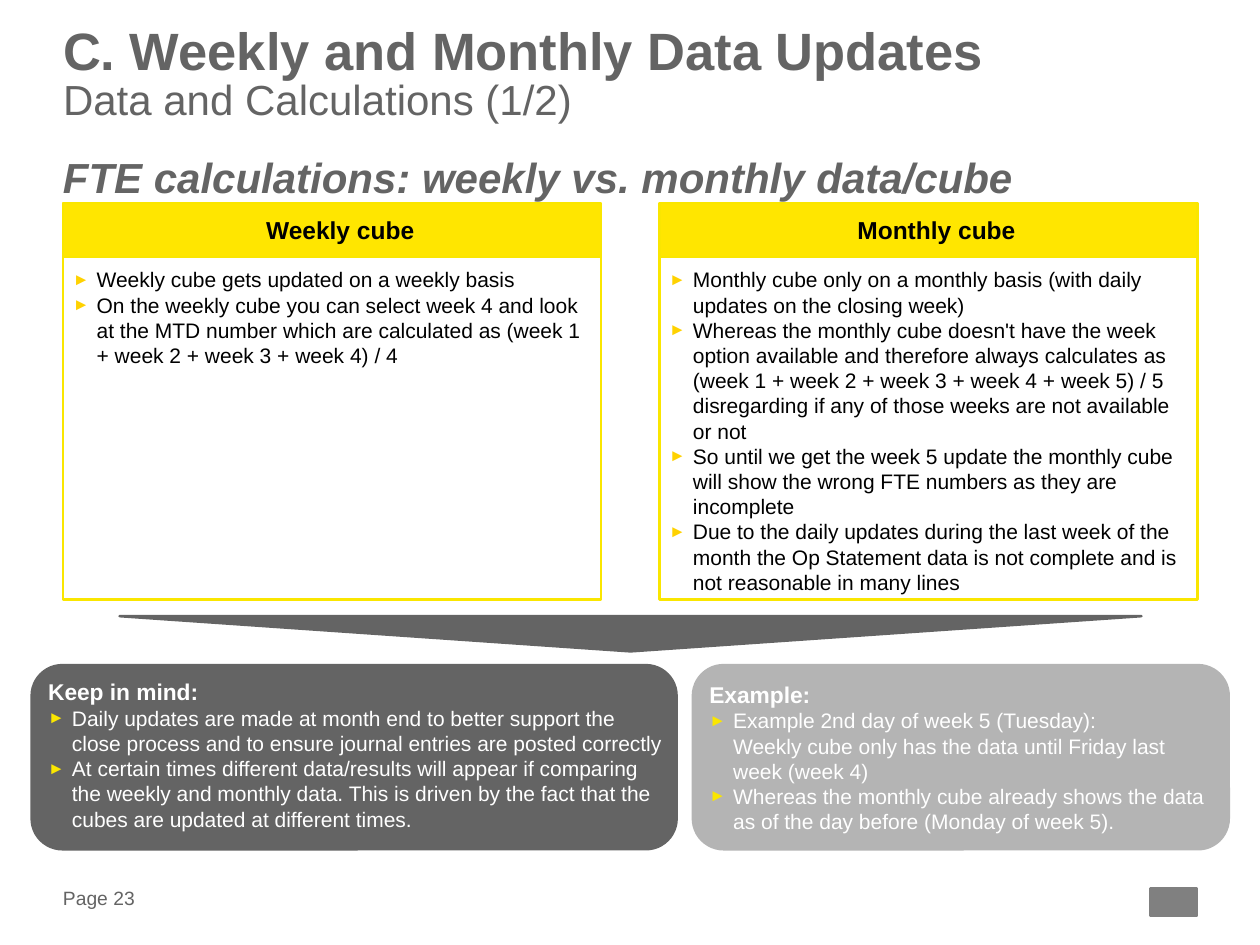
from lxml import etree
from pptx import Presentation
from pptx.dml.color import RGBColor
from pptx.enum.shapes import MSO_SHAPE as Shape
from pptx.enum.text import MSO_ANCHOR as Anchor, MSO_AUTO_SIZE as AutoSize, PP_ALIGN as Align
from pptx.oxml.ns import qn
from pptx.util import Cm, Pt

FONT = "Arial"
GREY = RGBColor(0x64, 0x64, 0x64)
LIGHT_GREY = RGBColor(0xB4, 0xB4, 0xB4)
MARK_GREY = RGBColor(0x80, 0x80, 0x80)
YELLOW = RGBColor(0xFF, 0xE6, 0x00)
BORDER_YELLOW = RGBColor(0xFA, 0xE6, 0x00)
BULLET_YELLOW = RGBColor(0xFF, 0xD2, 0x00)
BLACK = RGBColor(0, 0, 0)
WHITE = RGBColor(0xFF, 0xFF, 0xFF)

LEFT = Cm(1.27)
COLUMN_WIDTH = Cm(10.85)
COLUMN_LEFTS = (LEFT, Cm(13.29))

COLUMNS = (
    ("Weekly cube", (
        "Weekly cube gets updated on a weekly basis",
        "On the weekly cube you can select week 4 and look at the MTD number which are "
        "calculated as (week 1 + week 2 + week 3 + week 4) / 4",
    )),
    ("Monthly cube", (
        "Monthly cube only on a monthly basis (with daily updates on the closing week)",
        "Whereas the monthly cube doesn't have the week option available and therefore always "
        "calculates as (week 1 + week 2 + week 3 + week 4 + week 5) / 5 disregarding if any of "
        "those weeks are not available or not",
        "So until we get the week 5 update the monthly cube will show the wrong FTE numbers "
        "as they are incomplete",
        "Due to the daily updates during the last week of the month the Op Statement data is "
        "not complete and is not reasonable in many lines",
    )),
)
NOTES = (
    (Cm(0.64), Cm(13), GREY, Cm(0.25), "Keep in mind:", (
        "Daily updates are made at month end to better support the close process and to ensure "
        "journal entries are posted correctly",
        "At certain times different data/results will appear if comparing the weekly and monthly "
        "data. This is driven by the fact that the cubes are updated at different times.",
    )),
    (Cm(13.97), Cm(10.8), LIGHT_GREY, Cm(0.15), "Example:", (
        "Example 2nd day of week 5 (Tuesday): \n"
        "Weekly cube only has the data until Friday last week (week 4)",
        "Whereas the monthly cube already shows the data as of the day before (Monday of week 5).",
    )),
)


def add_box(kind, left, top, width, height, fill, line, margins, anchor=Anchor.MIDDLE):
    shape = slide.shapes.add_shape(kind, left, top, width, height)
    shape.shadow.inherit = False
    shape.fill.solid()
    shape.fill.fore_color.rgb = fill
    shape.line.color.rgb = line
    shape.line.width = Pt(1.5)
    frame = shape.text_frame
    frame.word_wrap = True
    frame.vertical_anchor = anchor
    frame.margin_left, frame.margin_top, frame.margin_right, frame.margin_bottom = margins
    return shape


def write(paragraph, text, size, color, bold=False, align=Align.LEFT, bullet=None):
    paragraph.text = text
    paragraph.alignment = align
    if bullet is not None:
        properties = paragraph._p.get_or_add_pPr()
        properties.set("marL", str(Cm(0.48)))
        properties.set("indent", str(-Cm(0.48)))
        bullet_color = etree.SubElement(properties, qn("a:buClr"))
        etree.SubElement(bullet_color, qn("a:srgbClr"), val=str(bullet))
        etree.SubElement(properties, qn("a:buSzPct"), val="80000")
        etree.SubElement(properties, qn("a:buFont"), typeface=FONT)
        etree.SubElement(properties, qn("a:buChar"), char="►")
    for run in paragraph.runs:
        run.font.name = FONT
        run.font.size = Pt(size)
        run.font.bold = bold
        run.font.color.rgb = color


presentation = Presentation()
presentation.slide_width = Cm(25.4)
presentation.slide_height = Cm(19.05)
slide = presentation.slides.add_slide(presentation.slide_layouts[5])

title = slide.shapes.title
title.left, title.top, title.width, title.height = LEFT, Cm(0.56), Cm(22.86), Cm(2.39)
heading = slide.shapes.add_textbox(LEFT, Cm(3.05), Cm(22.86), Cm(1.47))
page = slide.shapes.add_textbox(LEFT, Cm(17.81), Cm(2.01), Cm(0.56))
for shape, anchor in ((title, Anchor.TOP), (heading, Anchor.TOP), (page, Anchor.MIDDLE)):
    frame = shape.text_frame
    frame.word_wrap = True
    frame.auto_size = AutoSize.NONE
    frame.vertical_anchor = anchor
    frame.margin_left = frame.margin_top = frame.margin_right = frame.margin_bottom = 0

title_paragraph = title.text_frame.paragraphs[0]
write(title_paragraph, "C. Weekly and Monthly Data Updates\nData and Calculations (1/2)", 30, GREY, bold=True)
title_paragraph.line_spacing = 0.85
subtitle = title_paragraph.runs[1]
subtitle.font.size = Pt(24)
subtitle.font.bold = False

heading_paragraph = heading.text_frame.paragraphs[0]
write(heading_paragraph, "FTE calculations: weekly vs. monthly data/cube", 24, GREY, bold=True)
heading_paragraph.runs[0].font.italic = True
write(page.text_frame.paragraphs[0], "Page 23", 11, GREY)

for left, (name, points) in zip(COLUMN_LEFTS, COLUMNS):
    header = add_box(Shape.RECTANGLE, left, Cm(4.09), COLUMN_WIDTH, Cm(1.09), YELLOW, BORDER_YELLOW,
                     (Cm(0.61), Cm(0.15), Cm(0.28), Cm(0.15)))
    write(header.text_frame.paragraphs[0], name, 14, BLACK, bold=True, align=Align.CENTER)
    body = add_box(Shape.RECTANGLE, left, Cm(5.18), COLUMN_WIDTH, Cm(6.91), WHITE, BORDER_YELLOW,
                   (Cm(0.2), Cm(0.2), Cm(0.1), Cm(0.15)), Anchor.TOP)
    frame = body.text_frame
    for index, point in enumerate(points):
        paragraph = frame.add_paragraph() if index else frame.paragraphs[0]
        write(paragraph, point, 12, BLACK, bullet=BULLET_YELLOW)

pointer = add_box(Shape.ISOSCELES_TRIANGLE, Cm(2.41), Cm(12.42), Cm(20.6), Cm(0.71), GREY, GREY, (0, 0, 0, 0))
pointer.rotation = 180

for left, width, color, bottom_margin, label, points in NOTES:
    note = add_box(Shape.ROUNDED_RECTANGLE, left, Cm(13.41), width, Cm(3.71), color, color,
                   (Cm(0.15), Cm(0.15), Cm(0.1), bottom_margin))
    frame = note.text_frame
    write(frame.paragraphs[0], label, 13, WHITE, bold=True)
    for point in points:
        write(frame.add_paragraph(), point, 12, WHITE, bullet=BORDER_YELLOW)

add_box(Shape.RECTANGLE, Cm(23.19), Cm(17.91), Cm(0.94), Cm(0.56), MARK_GREY, MARK_GREY, (0, 0, 0, 0))

presentation.save("out.pptx")
